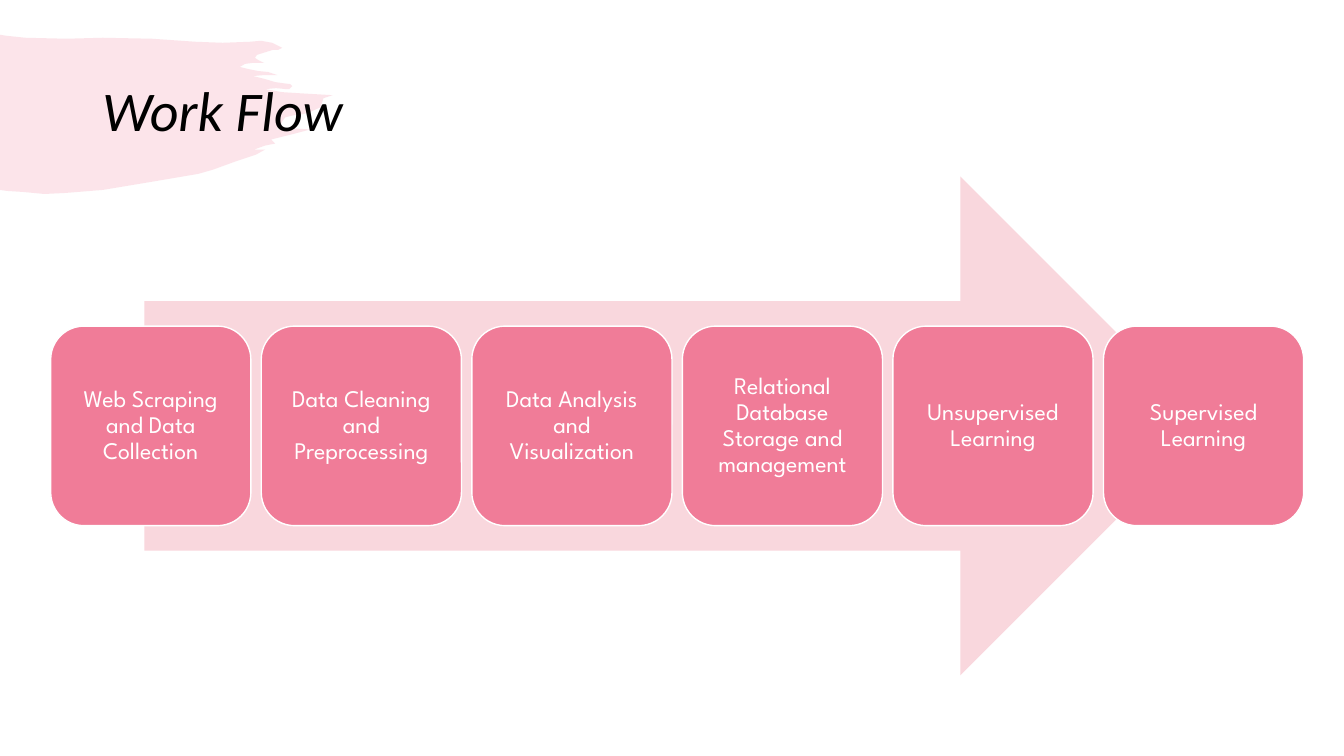
from lxml.etree import SubElement
from pptx import Presentation
from pptx.dml.color import RGBColor
from pptx.enum.shapes import MSO_SHAPE as Shape
from pptx.enum.text import MSO_ANCHOR as Anchor, PP_ALIGN as Align
from pptx.oxml.ns import qn
from pptx.util import Pt

PINK = "F07C98"
PALE_PINK = "F9D7DD"
WHITE = "FFFFFF"
BLACK = "000000"

STEPS = [
    "Web Scraping and Data Collection",
    "Data Cleaning and Preprocessing",
    "Data Analysis and Visualization",
    "Relational Database Storage and management",
    "Unsupervised Learning",
    "Supervised Learning",
]

BRUSH_UNIT = 0.72
BRUSH_OUTLINE = [
    (0, 0), (6, 1), (25, 3), (66, 4), (102, 3), (151, 4), (194, 7), (221, 7.5),
    (248, 7), (259, 6.5), (270, 7.5), (280, 13), (276, 15), (271, 15), (255, 20),
    (253, 23), (256, 25), (262, 28), (250, 28), (243, 29), (238, 32), (246, 34),
    (256, 36), (266, 37), (275, 40), (263, 40), (251, 41), (263, 44), (273, 47),
    (280, 48), (288, 49), (290, 51), (287, 54), (284, 54), (274, 53), (263, 54),
    (280, 57), (296, 58), (330, 60), (321, 63), (318, 72), (307, 77), (300, 79),
    (291, 80), (283, 82), (280, 86), (278, 91), (274, 94), (291, 93), (308, 94),
    (289, 99), (269, 104), (273, 108), (263, 110), (252, 114), (263, 114),
    (254, 119), (233, 126), (211, 134), (197, 138), (150, 146), (102, 154),
    (65, 157), (44, 157.5), (23, 156), (7, 155), (0, 154),
]


def color(hex_value):
    return RGBColor.from_string(hex_value)


def apply_format(target, values):
    for name, value in values.items():
        setattr(target, name, value)


def fill_shape(shape, fill, line=None):
    shape.shadow.inherit = False
    shape.fill.solid()
    shape.fill.fore_color.rgb = color(fill)
    if line:
        shape.line.color.rgb = color(line)
        shape.line.width = Pt(1)
    else:
        shape.line.fill.background()


def write_text(shape, text, font, text_color, align, inset):
    frame = shape.text_frame
    apply_format(frame, {
        "word_wrap": True, "vertical_anchor": Anchor.MIDDLE,
        "margin_left": Pt(inset), "margin_right": Pt(inset),
        "margin_top": Pt(5), "margin_bottom": Pt(5),
    })
    paragraph = frame.paragraphs[0]
    apply_format(paragraph, {"alignment": align, "line_spacing": 0.9})
    run = paragraph.add_run()
    run.text = text
    apply_format(run.font, font)
    run.font.color.rgb = color(text_color)


def add_brush_stroke(slide, left, top):
    builder = slide.shapes.build_freeform(*BRUSH_OUTLINE[0], scale=Pt(BRUSH_UNIT))
    builder.add_line_segments(BRUSH_OUTLINE[1:], close=True)
    brush = builder.convert_to_shape(Pt(left), Pt(top))
    fill_shape(brush, PINK)
    fill_color = brush.fill._xPr.find(qn("a:solidFill"))[0]
    SubElement(fill_color, qn("a:alpha"), val="20000")


def add_title(slide, left, top, width, height):
    box = slide.shapes.add_textbox(Pt(left), Pt(top), Pt(width), Pt(height))
    font = {"name": "Calibri", "size": Pt(40), "italic": True}
    write_text(box, "Work Flow", font, BLACK, Align.LEFT, 7.2)


def add_workflow(slide, left, top, width, height):
    arrow_width = 761
    arrow_left = left + (width - arrow_width) / 2
    arrow = slide.shapes.add_shape(
        Shape.RIGHT_ARROW, Pt(arrow_left), Pt(top), Pt(arrow_width), Pt(height))
    fill_shape(arrow, PALE_PINK)

    card_width, card_height = 143, 0.4 * height
    pitch = (width - card_width) / (len(STEPS) - 1)
    card_top = top + (height - card_height) / 2
    font = {"name": "League Spartan", "size": Pt(17)}
    for index, step in enumerate(STEPS):
        card = slide.shapes.add_shape(
            Shape.ROUNDED_RECTANGLE, Pt(left + index * pitch), Pt(card_top),
            Pt(card_width), Pt(card_height))
        fill_shape(card, PINK, WHITE)
        write_text(card, step, font, WHITE, Align.CENTER, 5)


def main():
    presentation = Presentation()
    presentation.slide_width = Pt(960)
    presentation.slide_height = Pt(540)
    slide = presentation.slides.add_slide(presentation.slide_layouts[6])
    add_brush_stroke(slide, 0, 24.8)
    add_title(slide, 66, 28.8, 828, 104.4)
    add_workflow(slide, 36.2, 126, 895, 356.4)
    presentation.save("out.pptx")


if __name__ == "__main__":
    main()
